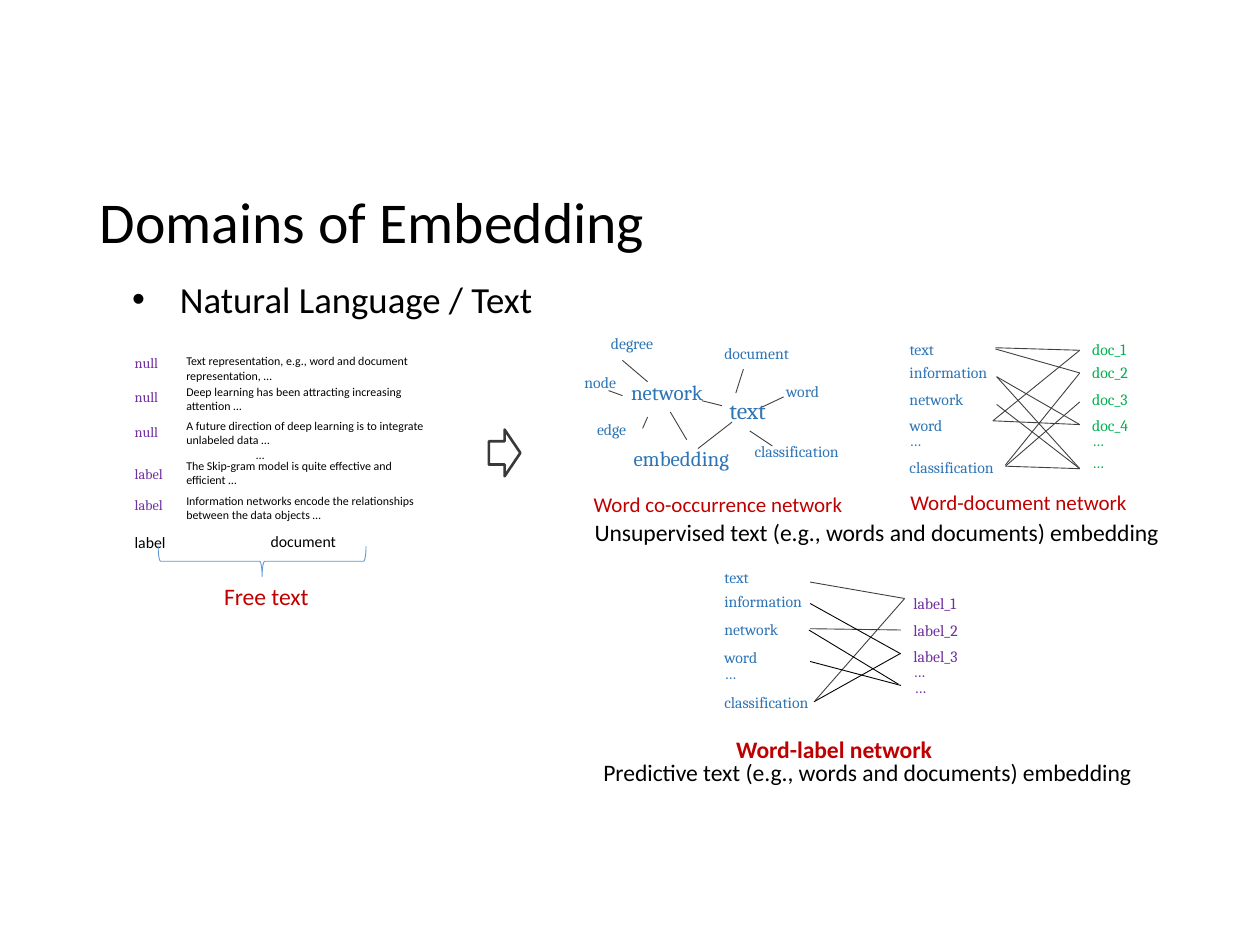
from pptx import Presentation
from pptx.dml.color import RGBColor
from pptx.enum.shapes import MSO_CONNECTOR, MSO_SHAPE
from pptx.enum.text import MSO_ANCHOR, MSO_AUTO_SIZE, PP_ALIGN
from pptx.oxml.ns import qn
from pptx.util import Emu, Pt
from lxml.etree import SubElement

PX = 9144  # EMU per px, 100 px to the inch
COLORS = {
    "black": "000000", "word": "2E75B6", "doc": "00B050", "label": "7030A0",
    "caption": "C00000", "edge": "404040", "arrow": "3B3838", "brace": "5B9BD5",
}
WORDS = ["text", "information", "network", "word", "…", "classification"]


def px(*lengths):
    return [Emu(n * PX) for n in lengths]


def rgb(name):
    return RGBColor.from_string(COLORS[name])


def style(tf, size, color, font="Calibri", bold=False, align=PP_ALIGN.LEFT):
    for p in tf.paragraphs:
        p.alignment = align
        for r in p.runs:
            r.font.size, r.font.name, r.font.bold = Pt(size), font, bold
            r.font.color.rgb = rgb(color)


def add_text(shapes, text, box, size, color="black", wrap=False, **kw):
    tf = shapes.add_textbox(*px(*box)).text_frame
    tf.text = text
    tf.word_wrap = wrap
    tf.auto_size = MSO_AUTO_SIZE.SHAPE_TO_FIT_TEXT
    style(tf, size, color, **kw)
    return tf


def add_column(shapes, texts, left, tops, widths, color, size=9, height=25):
    for text, top, width in zip(texts, tops, widths):
        add_text(shapes, text, (left, top, width, height), size, color, font="Cambria")


def add_lines(shapes, ends, color="edge"):
    for x1, y1, x2, y2 in ends:
        line = shapes.add_connector(MSO_CONNECTOR.STRAIGHT, *px(x1, y1, x2, y2))
        line.line.color.rgb = rgb(color)
        line.line.width = Pt(0.5)
        SubElement(line._element.spPr, qn("a:effectLst"))


def add_outline(shapes, kind, box, color, width):
    sp = shapes.add_shape(kind, *px(*box))
    sp.shadow.inherit = False
    sp.fill.background()
    sp.line.color.rgb = rgb(color)
    sp.line.width = Pt(width)
    return sp


def add_title(slide, text):
    title = slide.shapes.title
    title.left, title.top, title.width, title.height = px(69, 124, 862, 109)
    tf = title.text_frame
    tf.text = text
    tf.auto_size = MSO_AUTO_SIZE.NONE
    tf.vertical_anchor = MSO_ANCHOR.MIDDLE
    tf.paragraphs[0].line_spacing = 0.9
    style(tf, 33, "black")


def add_bullet(shapes, text):
    tf = add_text(shapes, text, (95, 215, 357, 45), 21, wrap=True)
    pPr = tf.paragraphs[0]._p.get_or_add_pPr()
    pPr.set("marL", str(38 * PX))
    pPr.set("indent", str(-38 * PX))
    SubElement(pPr, qn("a:buFont")).set("typeface", "Arial")
    SubElement(pPr, qn("a:buChar")).set("char", "•")


def add_free_text(shapes):
    sentences = [
        ("Text representation, e.g., word and document representation, …", 276, 201),
        ("Deep learning has been attracting increasing\nattention …", 300, 211),
        ("A future direction of deep learning is to integrate\nunlabeled data …", 327, 211),
        ("The Skip-gram model is quite effective and efficient …", 359, 211),
        ("Information networks encode the relationships\nbetween the data objects …", 387, 211),
    ]
    for text, top, width in sentences:
        add_text(shapes, text, (138, top, width, 33), 6.8, wrap=True)
    add_text(shapes, "…", (138, 350, 137, 21), 6.8, wrap=True, align=PP_ALIGN.CENTER)
    add_column(shapes, ["null"] * 3 + ["label"] * 2, 97, [276, 303, 331, 364, 389],
               [40] * 3 + [45] * 2, "label", size=8.2, height=24)
    add_text(shapes, "label", (97, 418, 45, 25), 9)
    add_text(shapes, "document", (205, 417, 73, 25), 9)
    brace = add_outline(shapes, MSO_SHAPE.RIGHT_BRACE, (196, 363, 24, 165), "brace", 0.5)
    brace.rotation = 90


def add_cooccurrence_network(shapes):
    nodes = [
        ("degree", (475, 260, 57, 25), 9), ("network", (491, 296, 81, 30), 12),
        ("edge", (464, 328, 46, 25), 9), ("node", (454, 291, 48, 25), 9),
        ("word", (614, 298, 52, 25), 9), ("document", (565, 268, 76, 25), 9),
        ("classification", (589, 346, 93, 25), 9), ("text", (569, 309, 52, 33), 13.5),
        ("embedding", (493, 349, 103, 30), 12),
    ]
    for text, box, size in nodes:
        add_text(shapes, text, box, size, "word", font="Cambria")
    add_lines(shapes, [
        (494, 286, 514, 303), (483, 310, 494, 314), (510, 340, 514, 331),
        (545, 349, 532, 327), (557, 318, 573, 322), (595, 342, 613, 354),
        (554, 356, 581, 335), (590, 293, 584, 312), (622, 315, 605, 323),
    ])


def add_word_column(shapes, left, tops):
    add_column(shapes, WORDS, left, tops, [41, 87, 66, 49, 30, 93], "word")


def add_document_network(shapes):
    tops = [265, 283, 304, 325, 337]
    add_word_column(shapes, 712, tops + [358])
    docs = [f"doc_{i}" for i in range(1, 5)] + ["…"] * 2
    add_column(shapes, docs, 857, tops + [354], [54, 55, 55, 55, 30, 30], "doc")
    add_lines(shapes, [
        (857, 278, 790, 276), (857, 278, 788, 334), (857, 296, 790, 277),
        (857, 296, 798, 369), (857, 337, 788, 334), (857, 337, 791, 299),
        (857, 372, 798, 370), (857, 372, 791, 299), (857, 372, 791, 321),
        (857, 319, 798, 370),
    ])


def add_label_network(shapes):
    add_word_column(shapes, 565, [446, 465, 487, 509, 522, 545])
    labels = [f"label_{i}" for i in range(1, 4)] + ["…"]
    add_column(shapes, labels, 715, [466, 488, 508, 520], [61, 62, 62, 30], "label")
    add_column(shapes, ["…"], 716, [533], [30], "label")
    add_lines(shapes, [(715, 500, 643, 499), (718, 475, 643, 462), (718, 475, 647, 556)])
    add_lines(shapes, [
        (642, 500, 713, 543), (643, 525, 715, 544),
        (715, 519, 643, 479), (714, 519, 646, 557),
    ], "black")


def add_captions(shapes):
    center = PP_ALIGN.CENTER
    add_text(shapes, "Free text", (168, 457, 88, 33), 13.5, "caption")
    add_text(shapes, "Word co-occurrence network", (460, 385, 220, 30), 12,
             "caption", align=center)
    add_text(shapes, "Word-document network", (712, 384, 193, 30), 12,
             "caption", align=center)
    add_text(shapes, "Word-label network", (573, 578, 178, 33), 13.5,
             "caption", bold=True, align=center)
    add_text(shapes, "Unsupervised text (e.g., words and documents) embedding",
             (462, 406, 475, 56), 13.5)
    add_text(shapes, "Predictive text (e.g., words and documents) embedding",
             (469, 597, 446, 33), 13.5)


def main():
    prs = Presentation()
    prs.slide_width, prs.slide_height = px(1000, 750)
    s = prs.slides.add_slide(prs.slide_layouts[5])
    add_title(s, "Domains of Embedding")
    add_bullet(s.shapes, "Natural Language / Text")
    for add_part in (add_free_text, add_cooccurrence_network,
                     add_document_network, add_label_network):
        add_part(s.shapes.add_group_shape().shapes)
    add_outline(s.shapes, MSO_SHAPE.RIGHT_ARROW, (388, 341, 25, 37), "arrow", 1.5)
    add_captions(s.shapes)
    prs.save("out.pptx")


if __name__ == "__main__":
    main()
